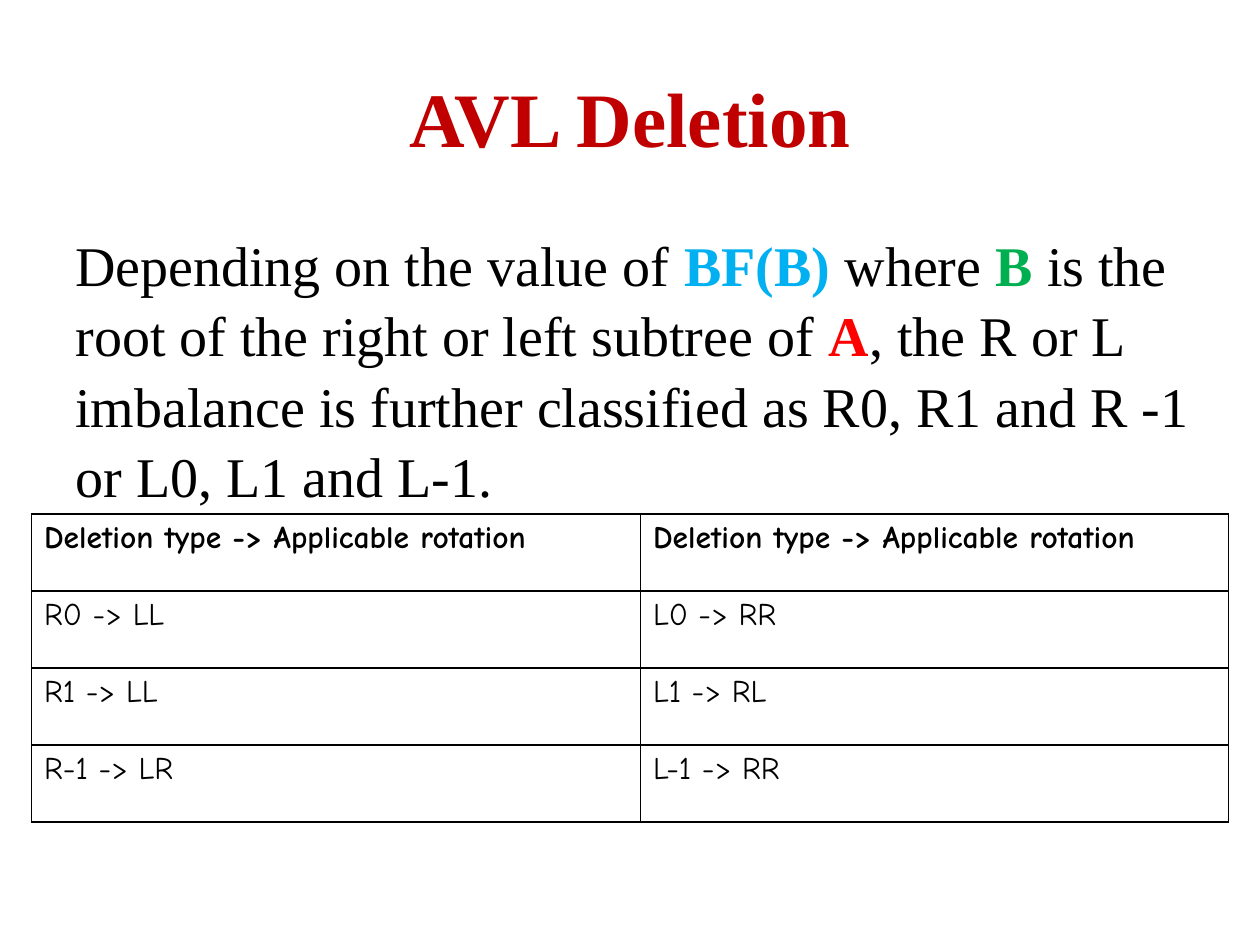
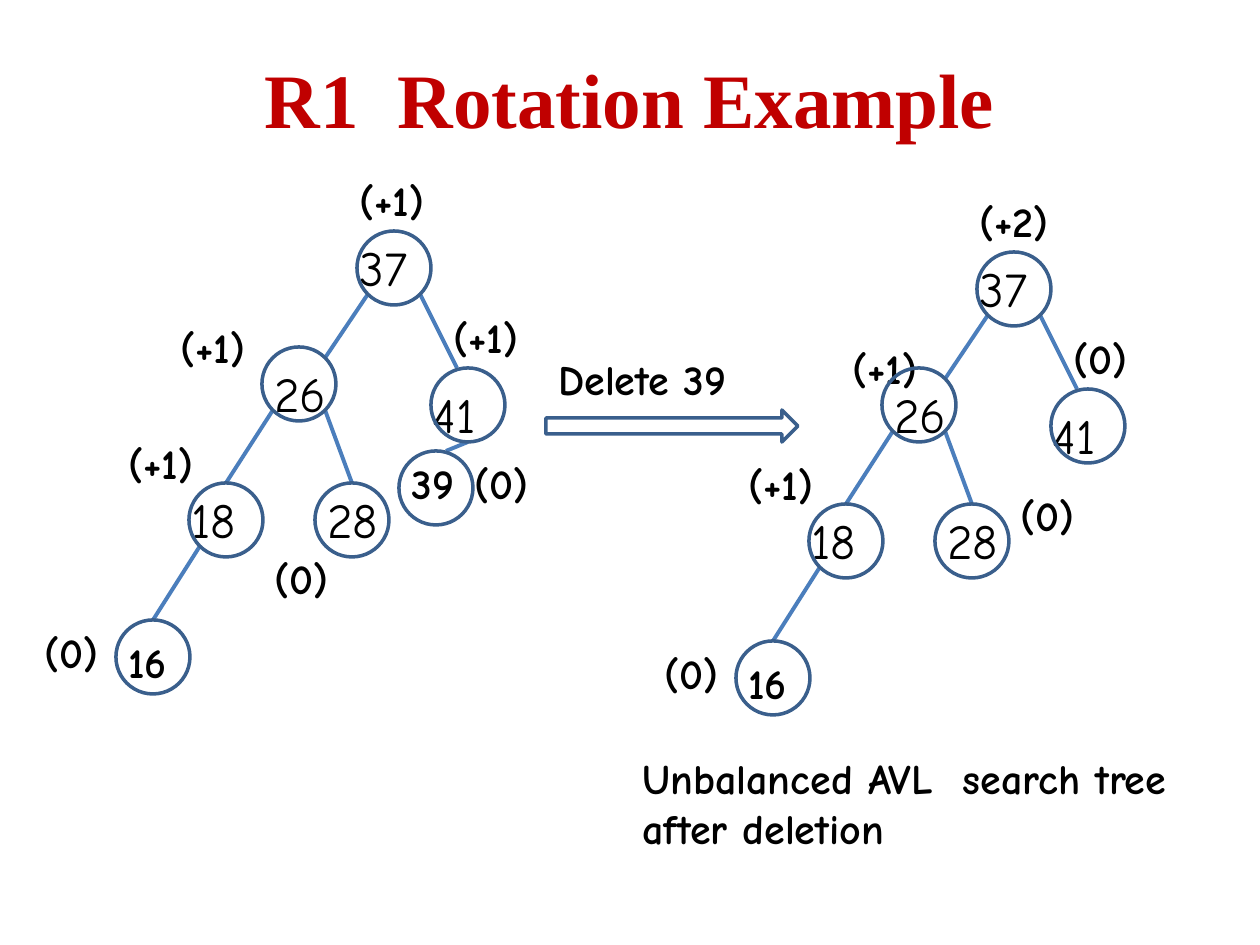
from dataclasses import dataclass
from lxml import etree
from pptx import Presentation
from pptx.dml.color import RGBColor
from pptx.enum.shapes import MSO_CONNECTOR, MSO_SHAPE
from pptx.enum.text import MSO_ANCHOR, PP_ALIGN
from pptx.oxml import parse_xml
from pptx.oxml.ns import nsdecls, qn
from pptx.util import Emu, Pt

PIXEL = 914400 // 126


@dataclass(frozen=True)
class Theme:
    title_color: str = "C00000"
    ink: str = "000000"
    blue: str = "00B0F0"
    green: str = "00B050"
    red: str = "FF0000"
    outline: str = "3A5F8C"
    edge: str = "4B7EBC"
    serif: str = "Times New Roman"
    hand: str = "Comic Neue"
    title_size: int = 44
    body_size: int = 32
    key_size: int = 28
    label_size: int = 24
    table_size: int = 18
    outline_width: float = 2
    edge_width: float = 2.25


THEME = Theme()

# Content of the rotation rules slide: text, colour, bold
RULES_TITLE = ("AVL Deletion", (63, 38, 1134, 157))
RULES_BODY = [
    ("Depending on the value of ", THEME.ink, False),
    ("BF(B) ", THEME.blue, True),
    ("where ", THEME.ink, False),
    ("B", THEME.green, True),
    (" is the root of the right or left subtree of ", THEME.ink, False),
    ("A", THEME.red, True),
    (", the R or L imbalance is further classified as R0, R1 and R -1 "
     "or L0, L1 and L-1.", THEME.ink, False),
]
RULES_TABLE = [
    ("Deletion type -> Applicable rotation",) * 2,
    ("R0 -> LL", "L0 -> RR"),
    ("R1 -> LL", "L1 -> RL"),
    ("R-1 -> LR", "L-1 -> RR"),
]
COLUMN_WIDTHS = (609, 588)
ROW_HEIGHT = 77

# Content of the example slide
EXAMPLE_TITLE = ("R1  Rotation Example", (63, 38, 1134, 120))
NODE_SIZE = 74
KEY_HEIGHT, LABEL_HEIGHT = 72, 63
# key: circle corner, key text (left, top, width), bold key
NODES = {
    "37": ((357, 231), (347, 231, 136), False),
    "26": ((262, 347), (262, 357, 94), False),
    "41": ((431, 368), (420, 378, 158), False),
    "18": ((189, 483), (179, 483, 94), False),
    "28": ((315, 483), (315, 483, 94), False),
    "16": ((116, 620), (116, 630, 94), True),
    "39": ((399, 451), (399, 451, 94), True),
}
# Points on a node, measured from its corner
LOWER_LEFT, LOWER_RIGHT, UPPER_RIGHT = (11, 63), (63, 63), (63, 11)
TOP, TOP_LEFT, TOP_RIGHT, BOTTOM = (37, 0), (26, 0), (47, 0), (37, 74)
EDGES = [
    ("37", LOWER_LEFT, "26", UPPER_RIGHT),
    ("37", LOWER_RIGHT, "41", TOP_LEFT),
    ("26", LOWER_LEFT, "18", TOP),
    ("26", LOWER_RIGHT, "28", TOP),
    ("18", LOWER_LEFT, "16", TOP),
    ("41", BOTTOM, "39", TOP_RIGHT),
]
# Balance factors: text, left, top, width
BALANCE_BEFORE = {
    "37": ("(+1)", 347, 168, 136),
    "26": ("(+1)", 168, 315, 116),
    "41": ("(+1)", 441, 305, 158),
    "18": ("(+1)", 116, 431, 158),
    "28": ("(0)", 262, 546, 94),
    "16": ("(0)", 32, 620, 158),
    "39": ("(0)", 462, 451, 84),
}
BALANCE_AFTER = {
    "37": ("(+2)", 347, 168, 136),
    "26": ("(+1)", 220, 315, 116),
    "41": ("(0)", 441, 305, 94),
    "18": ("(+1)", 116, 431, 158),
    "28": ("(0)", 388, 462, 94),
    "16": ("(0)", 32, 620, 158),
}
TREES = [(BALANCE_BEFORE, (0, 0)), (BALANCE_AFTER, (620, 21))]
NOTES = [
    ("Delete 39", (546, 347, 305, 63)),
    ("Unbalanced AVL  search tree after deletion", (630, 746, 577, 115)),
]
ARROW = (546, 410, 252, 32)


def px(*values):
    return [Emu(round(value * PIXEL)) for value in values]


def style_run(run, font, size, color=THEME.ink, bold=False):
    run.font.name = font
    run.font.size = Pt(size)
    run.font.bold = bold
    run.font.color.rgb = RGBColor.from_string(color)


def add_text(shapes, text, box, font, size, color=THEME.ink, bold=False):
    shape = shapes.add_textbox(*px(*box))
    shape.text_frame.word_wrap = True
    shape.text_frame.text = text
    style_run(shape.text_frame.paragraphs[0].runs[0], font, size, color, bold)
    return shape


def add_title(slide, text, box):
    frame = add_text(slide.shapes, text, box, THEME.serif, THEME.title_size,
                     THEME.title_color, True).text_frame
    frame.vertical_anchor = MSO_ANCHOR.MIDDLE
    frame.paragraphs[0].alignment = PP_ALIGN.CENTER


def add_outline(shapes, kind, box):
    shape = shapes.add_shape(kind, *px(*box))
    shape.shadow.inherit = False
    shape.fill.background()
    shape.line.color.rgb = RGBColor.from_string(THEME.outline)
    shape.line.width = Pt(THEME.outline_width)


def add_edge(shapes, start, end):
    connector = shapes.add_connector(MSO_CONNECTOR.STRAIGHT, *px(*start, *end))
    connector.line.color.rgb = RGBColor.from_string(THEME.edge)
    connector.line.width = Pt(THEME.edge_width)
    etree.SubElement(connector._element.spPr, qn("a:effectLst"))


def add_borders(cell):
    properties = cell._tc.get_or_add_tcPr()
    for index, side in enumerate(("lnL", "lnR", "lnT", "lnB")):
        properties.insert(index, parse_xml(
            f'<a:{side} {nsdecls("a")} w="12700"><a:solidFill>'
            f'<a:srgbClr val="{THEME.ink}"/></a:solidFill></a:{side}>'))


def add_rules_table(slide):
    frame = slide.shapes.add_table(
        len(RULES_TABLE), len(COLUMN_WIDTHS),
        *px(31.5, 514, sum(COLUMN_WIDTHS), ROW_HEIGHT * len(RULES_TABLE)))
    table = frame.table
    table.first_row = table.horz_banding = False
    for column, width in zip(table.columns, COLUMN_WIDTHS):
        column.width = px(width)[0]
    for row_index, texts in enumerate(RULES_TABLE):
        table.rows[row_index].height = px(ROW_HEIGHT)[0]
        for column_index, text in enumerate(texts):
            cell = table.cell(row_index, column_index)
            cell.fill.background()
            add_borders(cell)
            cell.text_frame.text = text
            style_run(cell.text_frame.paragraphs[0].runs[0], THEME.hand,
                      THEME.table_size, bold=row_index == 0)


def add_tree(slide, balances, shift):
    shapes = slide.shapes.add_group_shape().shapes

    def place(*parts):
        return tuple(sum(values) for values in zip(shift, *parts))

    for parent, start, child, end in EDGES:
        if child in balances:
            add_edge(shapes, place(NODES[parent][0], start),
                     place(NODES[child][0], end))
    for key, (label, left, top, width) in balances.items():
        corner, (key_left, key_top, key_width), bold = NODES[key]
        size, height = ((THEME.label_size, LABEL_HEIGHT) if bold
                        else (THEME.key_size, KEY_HEIGHT))
        add_text(shapes, key, (*place((key_left, key_top)), key_width, height),
                 THEME.hand, size, bold=bold)
        add_text(shapes, label, (*place((left, top)), width, LABEL_HEIGHT),
                 THEME.hand, THEME.label_size, bold=True)
        add_outline(shapes, MSO_SHAPE.OVAL,
                    (*place(corner), NODE_SIZE, NODE_SIZE))


presentation = Presentation()
presentation.slide_width, presentation.slide_height = px(1260, 945)
blank = presentation.slide_layouts[6]

# Rotation rules
slide = presentation.slides.add_slide(blank)
add_title(slide, *RULES_TITLE)
body = slide.shapes.add_textbox(*px(63, 220.5, 1165, 624))
body.text_frame.word_wrap = True
paragraph = body.text_frame.paragraphs[0]
paragraph.line_spacing = 1.05
paragraph.space_before = Pt(2)
for text, color, bold in RULES_BODY:
    run = paragraph.add_run()
    run.text = text
    style_run(run, THEME.serif, THEME.body_size, color, bold)
add_rules_table(slide)

# Deletion example: tree before and after
slide = presentation.slides.add_slide(blank)
add_title(slide, *EXAMPLE_TITLE)
add_outline(slide.shapes, MSO_SHAPE.RIGHT_ARROW, ARROW)
for text, box in NOTES:
    add_text(slide.shapes, text, box, THEME.hand, THEME.label_size, bold=True)
for balances, shift in TREES:
    add_tree(slide, balances, shift)

presentation.save("out.pptx")
